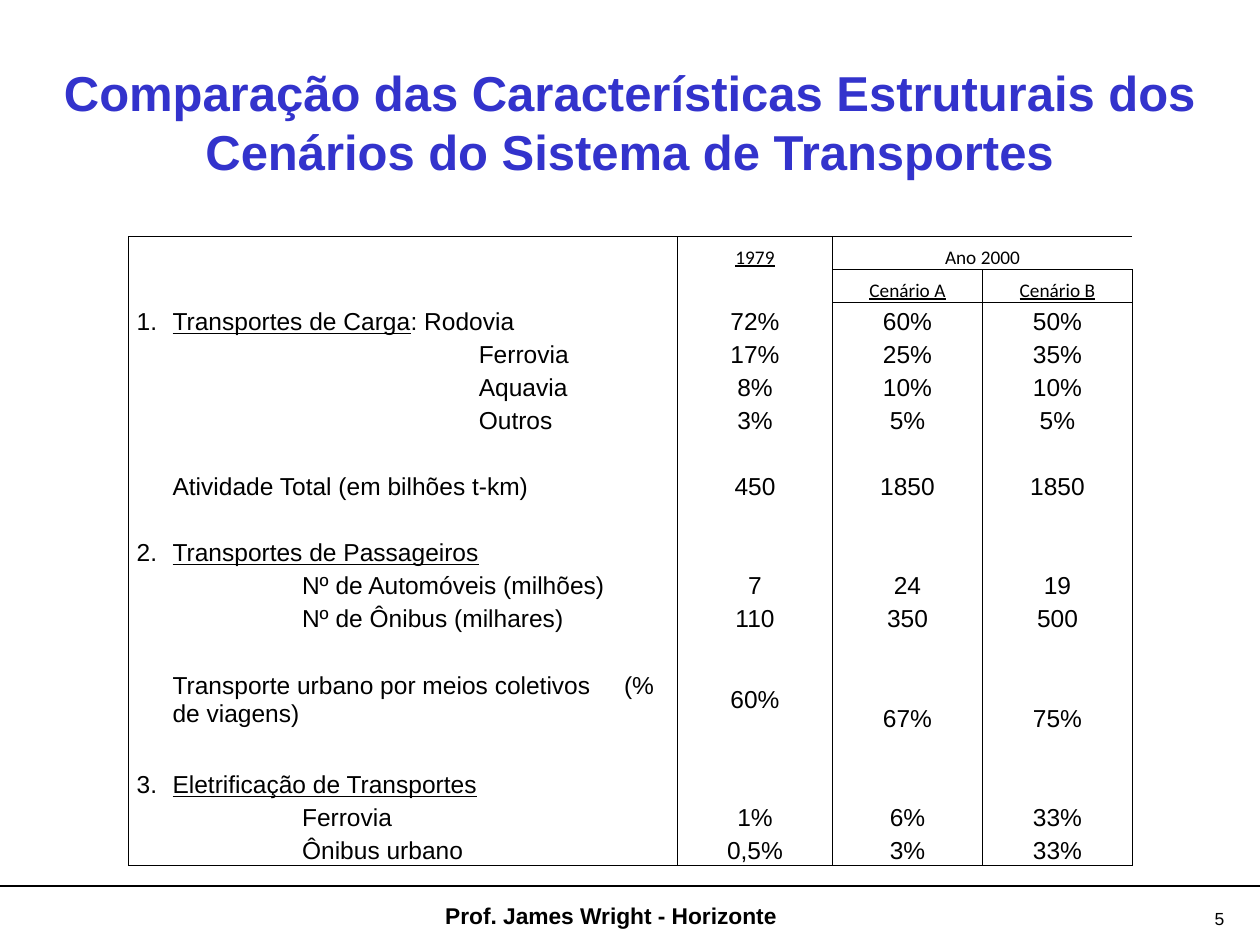
"""Builds the slide comparing the structural features of the transport scenarios."""
import pptx
import pptx.dml.color
import pptx.enum.shapes
import pptx.enum.text
import pptx.oxml
import pptx.oxml.ns
import pptx.util

Pt = pptx.util.Pt
ALIGN = pptx.enum.text.PP_ALIGN
ANCHOR = pptx.enum.text.MSO_ANCHOR
NS = pptx.oxml.ns.nsdecls("a")


def color(hex_value):
    return pptx.dml.color.RGBColor.from_string(hex_value)


def write(tf, runs, align, fmt, hex_value="000000"):
    p = tf.paragraphs[0]
    p.alignment = align
    for text, underline in runs:
        r = p.add_run()
        r.text = text
        for name, value in dict(fmt, underline=underline).items():
            setattr(r.font, name, value)
        r.font.color.rgb = color(hex_value)
    return p


prs = pptx.Presentation()
prs.slide_width, prs.slide_height = Pt(720), Pt(540)
s = prs.slides.add_slide(prs.slide_layouts[6])

texts = [
    ("Comparação das Características Estruturais dos Cenários do Sistema de Transportes",
     (19.5, 11.5, 680.5, 116), ALIGN.CENTER, ANCHOR.MIDDLE, True,
     dict(name="Arial", size=Pt(28), bold=True), "3333CC"),
    ("Prof. James Wright - Horizonte", (207.5, 512, 283, 23), ALIGN.CENTER, ANCHOR.TOP, True,
     dict(name="Arial", size=Pt(13), bold=True), "000000"),
    ("5", (687, 515.5, 31, 19), ALIGN.LEFT, ANCHOR.TOP, False,
     dict(name="Arial", size=Pt(10)), "000000"),
]
for text, box, align, anchor, wrap, fmt, hex_value in texts:
    tf = s.shapes.add_textbox(*map(Pt, box)).text_frame
    tf.word_wrap = wrap
    tf.vertical_anchor = anchor
    write(tf, [(text, False)], align, fmt, hex_value)

rule = s.shapes.add_connector(
    pptx.enum.shapes.MSO_CONNECTOR.STRAIGHT, Pt(0), Pt(506.2), Pt(720), Pt(506.2))
rule.line.color.rgb = color("000000")
rule.line.width = Pt(1.5)
rule._element.spPr.append(pptx.oxml.parse_xml(f"<a:effectLst {NS}/>"))

# number, label runs, label indent, values
BLANK = ("", [], 0, ["", "", ""])
rows = [
    ("", [], 0, ["1979", "Ano 2000", ""]),
    ("", [], 0, ["", "Cenário A", "Cenário B"]),
    ("1.", [("Transportes de Carga", True), (": Rodovia", False)], 0, ["72%", "60%", "50%"]),
    ("", [("Ferrovia", False)], 175, ["17%", "25%", "35%"]),
    ("", [("Aquavia", False)], 175, ["8%", "10%", "10%"]),
    ("", [("Outros", False)], 175, ["3%", "5%", "5%"]),
    BLANK,
    ("", [("Atividade Total (em bilhões t-km)", False)], 0, ["450", "1850", "1850"]),
    BLANK,
    ("2.", [("Transportes de Passageiros", True)], 0, ["", "", ""]),
    ("", [("Nº de Automóveis (milhões)", False)], 74, ["7", "24", "19"]),
    ("", [("Nº de Ônibus (milhares)", False)], 74, ["110", "350", "500"]),
    BLANK,
    ("", [("Transporte urbano por meios coletivos\t(% de viagens)", False)], 0,
     ["60%", "67%", "75%"]),
    BLANK,
    ("3.", [("Eletrificação de Transportes", True)], 0, ["", "", ""]),
    ("", [("Ferrovia", False)], 74, ["1%", "6%", "33%"]),
    ("", [("Ônibus urbano", False)], 74, ["0,5%", "3%", "33%"]),
]
widths = [24.5, 289.3, 88.6, 85.7, 85.7]
TALL, LAST = 13, len(rows) - 1
heights = [38.2 if i == TALL else 18.9 for i in range(len(rows))]

frame = s.shapes.add_table(
    len(rows), len(widths), Pt(73.4), Pt(135.2), Pt(sum(widths)), Pt(sum(heights)))
table = frame.table
table.first_row = table.horz_banding = False
style = table._tbl.tblPr.find(pptx.oxml.ns.qn("a:tableStyleId"))
style.text = "{2D5ABB26-0587-4C30-8999-92F81FD0307C}"
for column, width in zip(table.columns, widths):
    column.width = Pt(width)
for row, height in zip(table.rows, heights):
    row.height = Pt(height)
table.cell(0, 3).merge(table.cell(0, 4))

for i, (number, label, indent, values) in enumerate(rows):
    contents = [[(number, False)] if number else [], label]
    contents += [[(value, i < 2 and value != "Ano 2000")] if value else [] for value in values]
    fmt = dict(name="Calibri", size=Pt(11)) if i < 2 else dict(name="Arial", size=Pt(14))
    for j, runs in enumerate(contents):
        cell = table.cell(i, j)
        cell.margin_left = cell.margin_right = cell.margin_top = Pt(0.72)
        cell.margin_bottom = Pt(0)
        cell.vertical_anchor = ANCHOR.MIDDLE if i == TALL and j < 3 else ANCHOR.BOTTOM
        p = write(cell.text_frame, runs, ALIGN.CENTER if j > 1 else ALIGN.LEFT, fmt)
        pPr = p._p.get_or_add_pPr()
        pPr.set("marL", str(Pt([4, indent, 0, 0, 0][j])))
        if i == TALL and j == 1:
            pPr.append(pptx.oxml.parse_xml(
                f'<a:tabLst {NS}><a:tab pos="{Pt(258)}" algn="l"/></a:tabLst>'))
        if not runs:
            p._p.append(pptx.oxml.parse_xml(f'<a:endParaRPr {NS} sz="1100"/>'))
        sides = {
            "L": j != 1 and not (i == 0 and j == 4),
            "R": j != 0 and not (i == 0 and j == 3),
            "T": i == 0 or (i == 1 and j > 2),
            "B": i == LAST or (i == 0 and j > 2),
        }
        tcPr = cell._tc.get_or_add_tcPr()
        for side, drawn in sides.items():
            if drawn:
                tcPr.append(pptx.oxml.parse_xml(
                    f'<a:ln{side} {NS} w="{Pt(0.5)}"><a:solidFill><a:srgbClr val="000000"/>'
                    f"</a:solidFill></a:ln{side}>"))
        cell.fill.solid()
        cell.fill.fore_color.rgb = color("FFFFFF")

prs.save("out.pptx")
